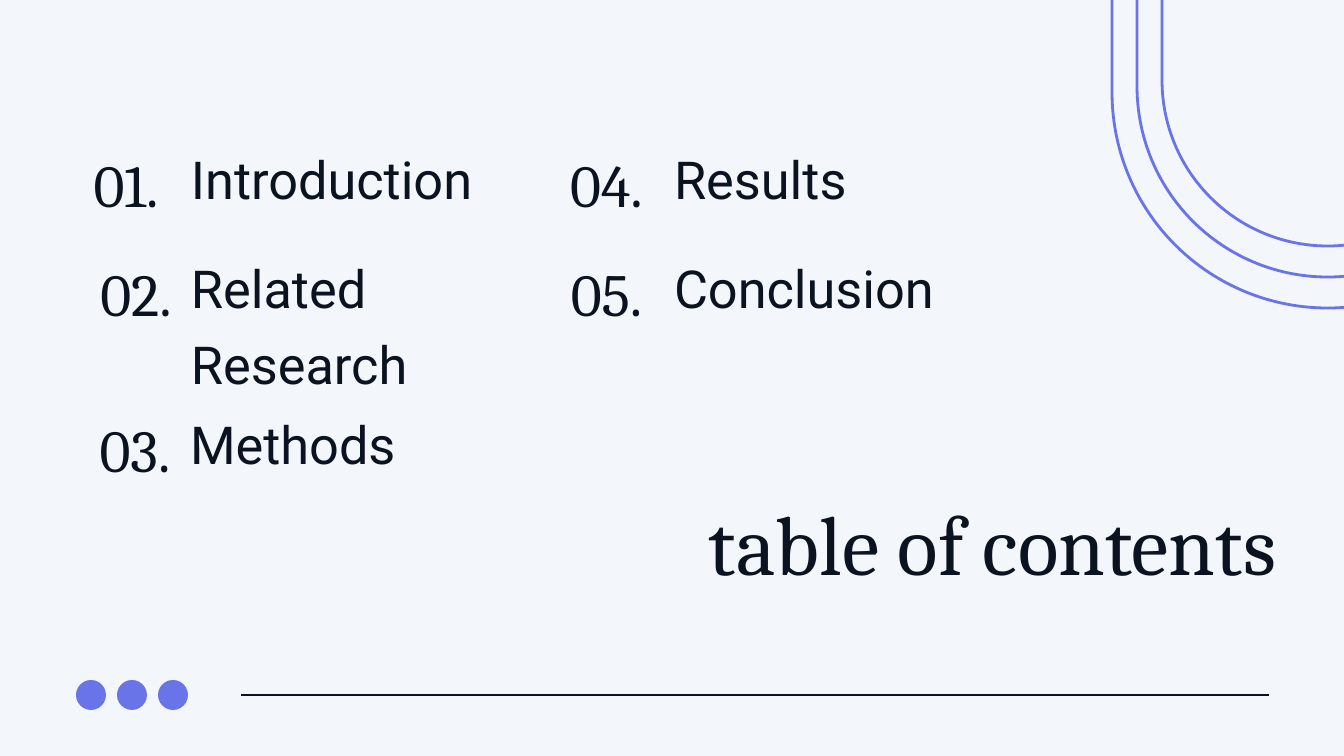
"""Build a table of contents slide with five numbered entries."""
from lxml.etree import SubElement
from pptx import Presentation
from pptx.dml.color import RGBColor
from pptx.enum.shapes import MSO_CONNECTOR as Connector, MSO_SHAPE as Shape
from pptx.enum.text import MSO_ANCHOR as Anchor, MSO_AUTO_SIZE as AutoSize, PP_ALIGN as Align
from pptx.oxml.ns import qn
from pptx.util import Pt

COLORS = {"background": "F3F6FA", "ink": "0B1320", "accent": "6874E8"}
SCALE = 914400 / 67.2


def px(*lengths):
    return [round(length * SCALE) for length in lengths]


def write(shape, text, font_name, size, align, spacing):
    frame = shape.text_frame
    frame.margin_left = frame.margin_top = frame.margin_right = frame.margin_bottom = 0
    frame.word_wrap = True
    frame.auto_size = AutoSize.SHAPE_TO_FIT_TEXT
    frame.vertical_anchor = Anchor.TOP
    frame.text = text
    paragraph = frame.paragraphs[0]
    paragraph.alignment = align
    paragraph.line_spacing = spacing
    paragraph.font.name = font_name
    paragraph.font.size = Pt(size)
    paragraph.font.color.rgb = RGBColor.from_string(COLORS["ink"])


presentation = Presentation()
presentation.slide_width, presentation.slide_height = px(1344, 756)
slide = presentation.slides.add_slide(presentation.slide_layouts[5])
slide.background.fill.solid()
slide.background.fill.fore_color.rgb = RGBColor.from_string(COLORS["background"])
shapes = slide.shapes

title = shapes.title
title.left, title.top, title.width, title.height = px(649, 471, 627, 202)
write(title, "table of contents", "Cambria", 90, Align.RIGHT, 1.2)

entries = [
    ("01.", "Introduction", 76, 119, 100, 80, 191, 63),
    ("02.", "Related Research", 91, 228, 90, 80, 191, 139),
    ("03.", "Methods", 91, 384, 88, 73, 190, 63),
    ("04.", "Results", 554, 119, 105, 80, 674, 63),
    ("05.", "Conclusion", 554, 228, 105, 73, 674, 63),
]
for number, label, left, top, width, height, label_left, label_height in entries:
    number_box = shapes.add_textbox(*px(left, top, width, height))
    write(number_box, number, "Cambria", 64, Align.CENTER, 1.4)
    label_box = shapes.add_textbox(*px(label_left, top + 16, 362, label_height))
    write(label_box, label, "Roboto", 56, Align.LEFT, 1.2)

rule = shapes.add_connector(Connector.STRAIGHT, *px(241, 695, 1269, 695))
rule.line.color.rgb = RGBColor.from_string(COLORS["ink"])
rule.line.width = Pt(3)
SubElement(rule._element.spPr, qn("a:effectLst"))

for index in range(3):
    dot = shapes.add_shape(Shape.OVAL, *px(76 + 41 * index, 680, 30, 30))
    dot.shadow.inherit = False
    dot.fill.solid()
    dot.fill.fore_color.rgb = RGBColor.from_string(COLORS["accent"])
    dot.line.fill.background()

for index in range(3):
    arch = shapes.add_shape(
        Shape.ROUND_2_SAME_RECTANGLE,
        *px(1112 + 25 * index, -222 + 31 * index, 431 - 50 * index, 530 - 62 * index),
    )
    arch.rotation = 180
    arch.adjustments[0] = 0.5
    arch.shadow.inherit = False
    arch.fill.background()
    arch.line.color.rgb = RGBColor.from_string(COLORS["accent"])
    arch.line.width = Pt(3)

presentation.save("out.pptx")
